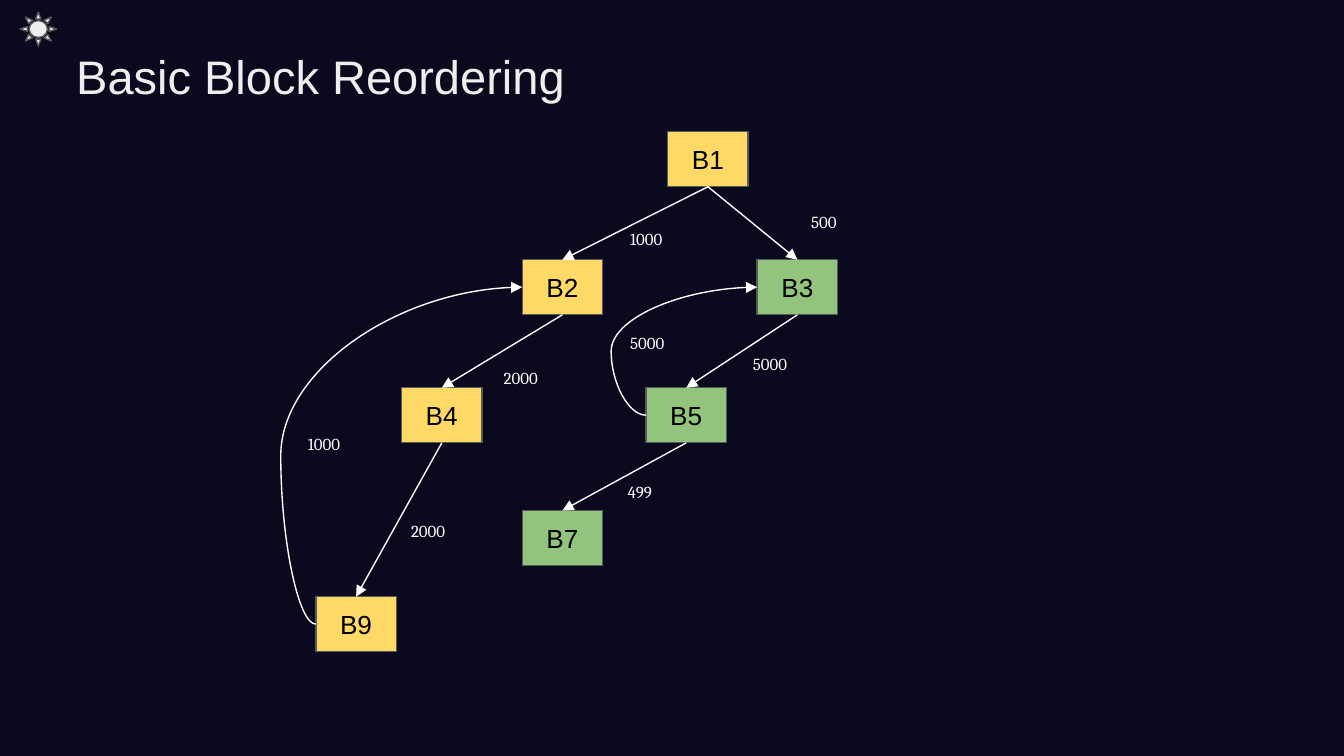
"""Build a slide with the control-flow graph of a basic block reordering."""
from lxml.etree import SubElement
from pptx import Presentation
from pptx.dml.color import RGBColor
from pptx.enum.shapes import MSO_CONNECTOR, MSO_SHAPE
from pptx.enum.text import MSO_ANCHOR, PP_ALIGN
from pptx.oxml.ns import qn
from pptx.util import Cm, Pt

NIGHT = RGBColor(0x0A, 0x09, 0x1D)
PALE = RGBColor(0xEE, 0xEE, 0xEE)
WHITE = RGBColor(0xFF, 0xFF, 0xFF)
BLACK = RGBColor(0x00, 0x00, 0x00)
GREY = RGBColor(0x59, 0x59, 0x59)
YELLOW = RGBColor(0xFF, 0xD9, 0x66)
GREEN = RGBColor(0x93, 0xC4, 0x7D)

TOP, LEFT, BOTTOM = 0, 1, 2
BLOCK_W, BLOCK_H = 1.52, 1.04
LABEL_W, LABEL_H = 1.45, 0.84

BLOCKS = {
    "B1": (12.62, 2.49, YELLOW),
    "B9": (5.97, 11.28, YELLOW),
    "B3": (14.31, 4.91, GREEN),
    "B2": (9.87, 4.91, YELLOW),
    "B5": (12.21, 7.33, GREEN),
    "B4": (7.59, 7.33, YELLOW),
    "B7": (9.87, 9.65, GREEN),
}
EDGES = [("B1", "B2"), ("B1", "B3"), ("B3", "B5"),
         ("B5", "B7"), ("B2", "B4"), ("B4", "B9")]
LOOPS = [("B5", "B3", -31400), ("B9", "B2", -17000)]
COUNTS = [
    ("1000", 11.66, 4.14),
    ("500", 15.08, 3.81),
    ("5000", 13.98, 6.5),
    ("5000", 11.66, 6.1),
    ("499", 11.61, 8.91),
    ("2000", 9.27, 6.76),
    ("2000", 7.52, 9.65),
    ("1000", 5.57, 8),
]


class GraphSlide:
    def __init__(self, slide):
        self.slide = slide
        self.shapes = slide.shapes
        self.line_width = Pt(0.75)
        self.inset = Cm(0.25)
        slide.background.fill.solid()
        slide.background.fill.fore_color.rgb = NIGHT

    def set_text(self, sp, text, size, font, color, align=PP_ALIGN.LEFT, anchor=MSO_ANCHOR.TOP):
        tf = sp.text_frame
        tf.word_wrap = True
        tf.vertical_anchor = anchor
        tf.margin_left = tf.margin_right = tf.margin_top = tf.margin_bottom = self.inset
        p = tf.paragraphs[0]
        p.text = text
        p.alignment = align
        p.font.size, p.font.name = Pt(size), font
        p.font.color.rgb = color

    def title(self, text, x, y, w, h):
        sp = self.shapes.title
        sp.left, sp.top, sp.width, sp.height = Cm(x), Cm(y), Cm(w), Cm(h)
        self.set_text(sp, text, 25.2, "Arial", PALE)

    def shape(self, kind, x, y, w, h, fill):
        sp = self.shapes.add_shape(kind, Cm(x), Cm(y), Cm(w), Cm(h))
        sp.shadow.inherit = False
        sp.fill.solid()
        sp.fill.fore_color.rgb = fill
        sp.line.color.rgb = GREY
        sp.line.width = self.line_width
        return sp

    def block(self, name, x, y, fill):
        sp = self.shape(MSO_SHAPE.RECTANGLE, x, y, BLOCK_W, BLOCK_H, fill)
        self.set_text(sp, name, 14, "Arial", BLACK, PP_ALIGN.CENTER, MSO_ANCHOR.MIDDLE)
        return sp

    def arrow(self, kind, source, source_side, target, target_side):
        cxn = self.shapes.add_connector(kind, 0, 0, 0, 0)
        cxn.begin_connect(source, source_side)
        cxn.end_connect(target, target_side)
        cxn.line.color.rgb = WHITE
        cxn.line.width = self.line_width
        properties = cxn.element.spPr
        SubElement(properties.find(qn("a:ln")), qn("a:tailEnd"), type="triangle")
        SubElement(properties, qn("a:effectLst"))
        return cxn

    def edge(self, source, target):
        self.arrow(MSO_CONNECTOR.STRAIGHT, source, BOTTOM, target, TOP)

    def loop(self, source, target, bend):
        cxn = self.arrow(MSO_CONNECTOR.CURVE, source, LEFT, target, LEFT)
        guides = cxn.element.spPr.find(qn("a:prstGeom")).find(qn("a:avLst"))
        SubElement(guides, qn("a:gd"), name="adj1", fmla=f"val {bend}")

    def count(self, text, x, y):
        sp = self.shapes.add_textbox(Cm(x), Cm(y), Cm(LABEL_W), Cm(LABEL_H))
        self.set_text(sp, text, 9, "Cambria", WHITE)


def main():
    prs = Presentation()
    prs.slide_width, prs.slide_height = Cm(25.4), Cm(14.29)
    s = GraphSlide(prs.slides.add_slide(prs.slide_layouts[5]))
    s.title("Basic Block Reordering", 1.19, 0.64, 23.5, 1.37)
    blocks = {name: s.block(name, *place) for name, place in BLOCKS.items()}
    for source, target in EDGES:
        s.edge(blocks[source], blocks[target])
    for source, target, bend in LOOPS:
        s.loop(blocks[source], blocks[target], bend)
    for count in COUNTS:
        s.count(*count)
    s.shape(MSO_SHAPE.SUN, 0.38, 0.23, 0.69, 0.64, PALE)
    prs.save("out.pptx")


if __name__ == "__main__":
    main()
